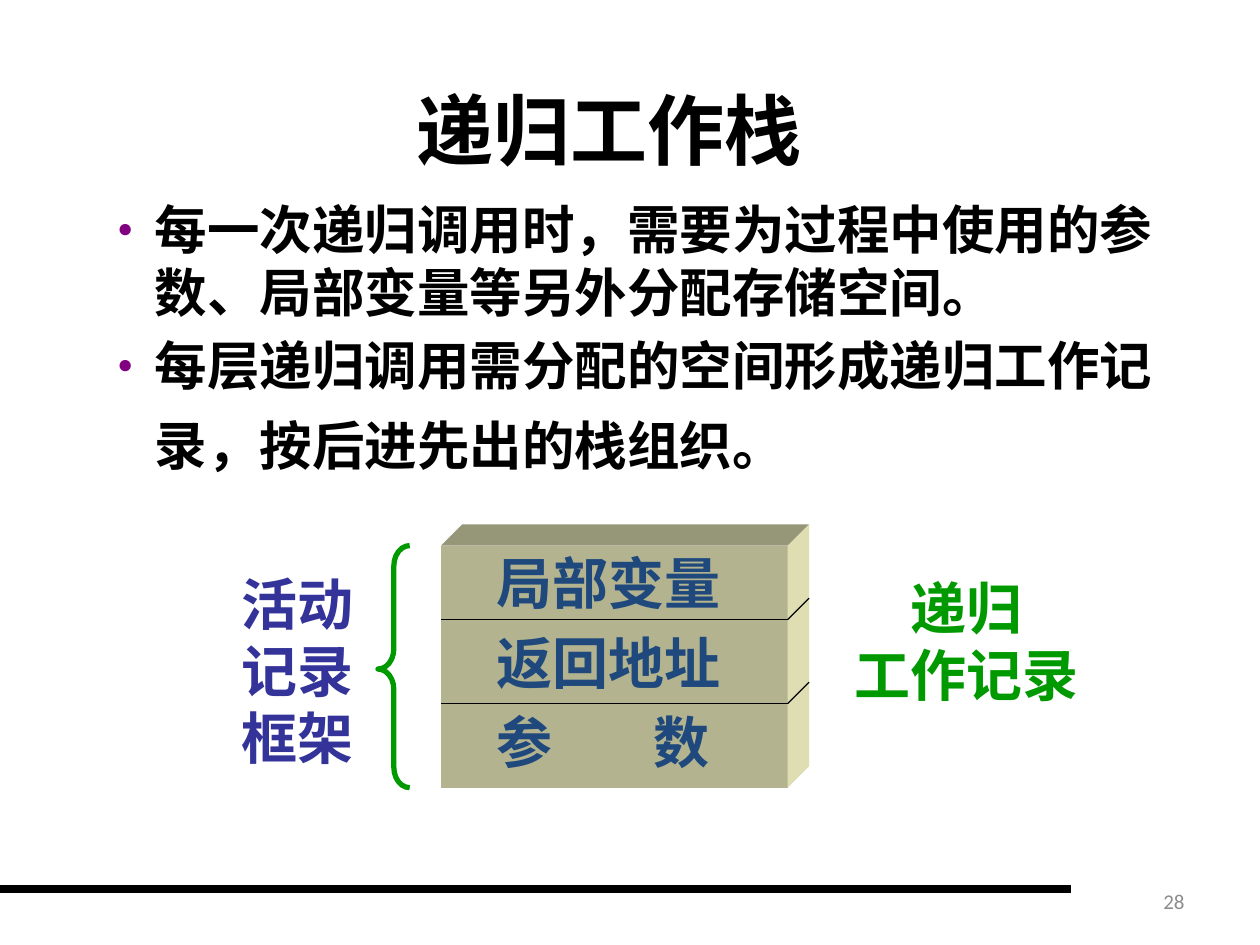
"""Build a slide that explains the work stack of recursive calls."""
from dataclasses import dataclass

import pptx
import pptx.dml.color
import pptx.enum.shapes
import pptx.enum.text
import pptx.oxml
import pptx.oxml.ns
import pptx.util
from lxml import etree

Cm, Pt = pptx.util.Cm, pptx.util.Pt
ALIGN = pptx.enum.text.PP_ALIGN
ANCHOR = pptx.enum.text.MSO_ANCHOR
SHAPE = pptx.enum.shapes.MSO_SHAPE
qn = pptx.oxml.ns.qn


@dataclass(frozen=True)
class Theme:
    heading: str = "Calibri"
    label: str = "Times New Roman"
    ink: str = "000000"
    bullet: str = "800080"
    navy: str = "1F497D"
    indigo: str = "333399"
    green: str = "009900"
    grey: str = "8C8C8C"
    front: str = "B3B38F"
    top: str = "969678"
    side: str = "DEDEB2"
    title_pt: int = 44
    body_pt: int = 30
    tail_pt: int = 40
    label_pt: int = 32
    number_pt: int = 12


THEME = Theme()


def rgb(value):
    return pptx.dml.color.RGBColor.from_string(value)


def place(sp, left, top, width, height):
    sp.left, sp.top, sp.width, sp.height = map(Cm, (left, top, width, height))


def format_runs(tf, font, size, color, bold=True):
    for p in tf.paragraphs:
        for r in p.runs:
            r.font.name, r.font.size, r.font.bold = font, Pt(size), bold
            r.font.color.rgb = rgb(color)


def add_title(s, text):
    sp = s.shapes.title
    place(sp, 3.81, 1.47, 16.94, 2.24)
    tf = sp.text_frame
    tf.text = text
    tf.vertical_anchor = ANCHOR.MIDDLE
    tf.auto_size = pptx.enum.text.MSO_AUTO_SIZE.NONE
    tf.paragraphs[0].alignment = ALIGN.CENTER
    format_runs(tf, THEME.heading, THEME.title_pt, THEME.ink)


def set_bullet(p, indent):
    pPr = p._p.get_or_add_pPr()
    pPr.set("marL", str(indent))
    pPr.set("indent", str(-indent))
    color = etree.SubElement(pPr, qn("a:buClr"))
    etree.SubElement(color, qn("a:srgbClr"), val=THEME.bullet)
    etree.SubElement(pPr, qn("a:buSzPct"), val="50000")
    etree.SubElement(pPr, qn("a:buChar"), char="●")


def add_body(s, items):
    sp = s.placeholders[1]
    place(sp, 2.11, 3.84, 21.59, 14.4)
    tf = sp.text_frame
    tf.text = "\n".join(items)
    tf.auto_size = pptx.enum.text.MSO_AUTO_SIZE.NONE
    for p in tf.paragraphs:
        p.space_before = Pt(5.8)
        set_bullet(p, Cm(0.76))
    tail = tf.paragraphs[-1].add_run()
    tail.text = " "
    format_runs(tf, THEME.heading, THEME.body_pt, THEME.ink)
    tail.font.size = Pt(THEME.tail_pt)


def add_label(s, box, text, color, align=ALIGN.LEFT, wrap=True,
              font=THEME.label, size=THEME.label_pt, bold=True):
    sp = s.shapes.add_textbox(*map(Cm, box))
    tf = sp.text_frame
    tf.text = text
    tf.word_wrap = wrap
    for p in tf.paragraphs:
        p.alignment = align
    format_runs(tf, font, size, color, bold)
    return tf


def add_line(s, start, end, width):
    cxn = s.shapes.add_connector(
        pptx.enum.shapes.MSO_CONNECTOR.STRAIGHT, *map(Cm, start + end))
    cxn.line.color.rgb = rgb(THEME.ink)
    cxn.line.width = Pt(width)
    etree.SubElement(cxn._element.spPr, qn("a:effectLst"))


def add_face(s, points, color):
    corners = [(Cm(x), Cm(y)) for x, y in points]
    builder = s.shapes.build_freeform(*corners[0])
    builder.add_line_segments(corners[1:], close=True)
    sp = builder.convert_to_shape()
    sp.fill.solid()
    sp.fill.fore_color.rgb = rgb(color)
    sp.line.fill.background()
    sp.shadow.inherit = False


def add_stack(s, left, top, right, bottom, depth, dividers, entries):
    back, lid = right + depth, top - depth
    add_face(s, [(left, top), (right, top), (right, bottom), (left, bottom)],
             THEME.front)
    add_face(s, [(left, top), (left + depth, lid), (back, lid), (right, top)],
             THEME.top)
    add_face(s, [(right, top), (back, lid), (back, bottom - depth),
                 (right, bottom)], THEME.side)
    for y in dividers:
        add_line(s, (left, y), (right, y), 0.75)
        add_line(s, (right, y), (back, y - depth), 0.75)
    tf = add_label(s, (9.75, 10.8, 5.69, 5), "\n".join(entries), THEME.navy)
    for p in tf.paragraphs:
        p.line_spacing = 1.1
        p.space_before = Pt(3.2)
        tabs = etree.SubElement(p._p.get_or_add_pPr(), qn("a:tabLst"))
        etree.SubElement(tabs, qn("a:tab"), pos=str(Cm(3.18)), algn="l")


def add_brace(s, left, top, width, height):
    sp = s.shapes.add_shape(SHAPE.LEFT_BRACE,
                            *map(Cm, (left, top, width, height)))
    sp.adjustments[0], sp.adjustments[1] = 0.64, 0.51
    sp.fill.background()
    sp.line.color.rgb = rgb(THEME.green)
    sp.line.width = Pt(3)
    sp.shadow.inherit = False


def main():
    prs = pptx.Presentation()
    prs.slide_width, prs.slide_height = Cm(25.4), Cm(19.05)
    s = prs.slides.add_slide(prs.slide_layouts[1])
    add_line(s, (0, 17.93), (21.59, 17.93), 4.5)
    add_title(s, "递归工作栈")
    add_body(s, ["每一次递归调用时，需要为过程中使用的参数、局部变量等另外分配存储空间。",
                 "每层递归调用需分配的空间形成递归工作记录，按后进先出的栈组织。"])
    number = add_label(s, (18.21, 17.65, 5.92, 1.02), "28", THEME.grey,
                       ALIGN.RIGHT, font=THEME.heading,
                       size=THEME.number_pt, bold=False)
    number.vertical_anchor = ANCHOR.MIDDLE
    add_stack(s, 8.89, 11, 15.88, 15.88, 0.43, (12.49, 14.18),
              ["局部变量", "返回地址", "参\t数"])
    add_brace(s, 7.62, 11, 0.64, 4.88)
    add_label(s, (4.62, 11.35, 3, 4.32), "活动记录框架", THEME.indigo)
    add_label(s, (16.97, 11.43, 5.05, 2.97), "递归\n工作记录", THEME.green,
              ALIGN.CENTER, wrap=False)
    prs.save("out.pptx")


if __name__ == "__main__":
    main()
